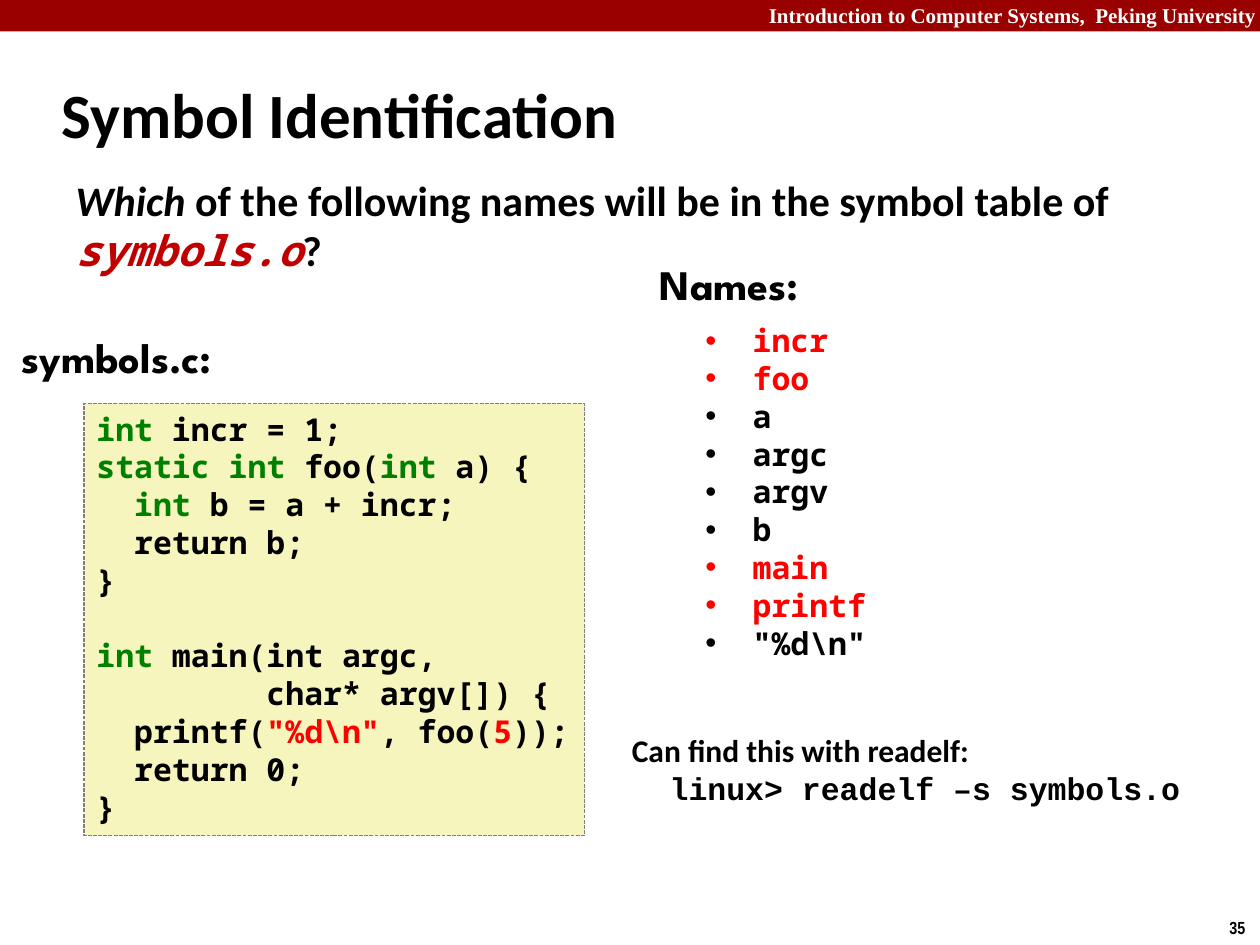
from lxml.etree import SubElement
from pptx import Presentation
from pptx.dml.color import RGBColor
from pptx.enum.dml import MSO_LINE
from pptx.enum.shapes import MSO_SHAPE
from pptx.enum.text import MSO_ANCHOR, MSO_AUTO_SIZE, PP_ALIGN
from pptx.oxml.ns import qn
from pptx.util import Pt

BLACK = RGBColor(0x00, 0x00, 0x00)
WHITE = RGBColor(0xFF, 0xFF, 0xFF)
BANNER_RED = RGBColor(0x99, 0x00, 0x00)
FILE_RED = RGBColor(0xC0, 0x00, 0x00)
RED = RGBColor(0xFF, 0x00, 0x00)
GREEN = RGBColor(0x00, 0x80, 0x00)
GREY = RGBColor(0x7F, 0x7F, 0x7F)
CODE_YELLOW = RGBColor(0xF6, 0xF5, 0xBD)

SANS = "Calibri"
MONO = "Noto Sans Mono"
LABEL = "League Spartan"

CODE = [
    [("int ", GREEN), ("incr = 1;", BLACK)],
    [("static int ", GREEN), ("foo(", BLACK), ("int ", GREEN), ("a) {", BLACK)],
    [("  ", BLACK), ("int ", GREEN), ("b = a + incr;", BLACK)],
    [("  return b;", BLACK)],
    [("}", BLACK)],
    [],
    [("int ", GREEN), ("main(int argc,", BLACK)],
    [("         char* argv[]) {", BLACK)],
    [("  printf(", BLACK), ('"%d\\n"', RED), (", foo(", BLACK), ("5", RED), ("));", BLACK)],
    [("  return 0;", BLACK)],
    [("}", BLACK)],
]
NAMES = ["incr", "foo", "a", "argc", "argv", "b", "main", "printf", '"%d\\n"']
TABLE_SYMBOLS = {"incr", "foo", "main", "printf"}


def add_run(paragraph, text, size, font=SANS, color=BLACK, italic=False):
    run = paragraph.add_run()
    run.text = text
    run.font.size = Pt(size)
    run.font.name = font
    run.font.bold = True
    run.font.italic = italic
    run.font.color.rgb = color


def place(shape, left, top, width, height):
    shape.left, shape.top = Pt(left), Pt(top)
    shape.width, shape.height = Pt(width), Pt(height)


def set_bullet(paragraph, indent=None):
    """Hang a round bullet at the indent, or remove the bullet when there is none."""
    properties = paragraph._p.get_or_add_pPr()
    margin = Pt(indent or 0)
    properties.set("marL", str(margin))
    properties.set("indent", str(-margin))
    if indent is None:
        SubElement(properties, qn("a:buNone"))
    else:
        SubElement(properties, qn("a:buFont"), typeface="Arial")
        SubElement(properties, qn("a:buChar"), char="•")


def add_text_box(slide, box, lines, size, font, bullet_indent=None):
    """Write one paragraph for each line, a line being a list of (text, colour)."""
    shape = slide.shapes.add_textbox(*map(Pt, box))
    text_frame = shape.text_frame
    text_frame.word_wrap = True
    for index, line in enumerate(lines):
        paragraph = text_frame.add_paragraph() if index else text_frame.paragraphs[0]
        if bullet_indent is not None:
            set_bullet(paragraph, bullet_indent)
        paragraph.font.size = Pt(size)
        paragraph.font.name = font
        for text, color in line:
            add_run(paragraph, text, size, font, color)
    return shape


def add_banner(slide):
    bar = slide.shapes.add_shape(MSO_SHAPE.RECTANGLE, 0, 0, Pt(720), Pt(18))
    bar.shadow.inherit = False
    bar.fill.solid()
    bar.fill.fore_color.rgb = BANNER_RED
    bar.line.fill.background()
    course = add_text_box(
        slide, (432, -2, 293, 22),
        [[("Introduction to Computer Systems,  Peking University", WHITE)]],
        12, "Times New Roman")
    course.text_frame.paragraphs[0].alignment = PP_ALIGN.RIGHT


def add_title(slide):
    title = slide.shapes.title
    place(title, 28, 34.5, 598, 60)
    title.text_frame.auto_size = MSO_AUTO_SIZE.NONE
    title.text_frame.vertical_anchor = MSO_ANCHOR.MIDDLE
    paragraph = title.text_frame.paragraphs[0]
    paragraph.alignment = PP_ALIGN.LEFT
    add_run(paragraph, "Symbol Identification", 36)


def add_question(slide):
    body = slide.placeholders[1]
    place(body, 36, 96, 636, 78)
    body.text_frame.auto_size = MSO_AUTO_SIZE.NONE
    paragraph = body.text_frame.paragraphs[0]
    set_bullet(paragraph)
    paragraph.space_before = Pt(0)
    add_run(paragraph, "Which ", 24, italic=True)
    add_run(paragraph, "of the following names will be in the symbol table of ", 24)
    add_run(paragraph, "symbols.o", 24, MONO, FILE_RED, italic=True)
    add_run(paragraph, "?", 24)


def add_code(slide):
    code = add_text_box(slide, (48, 230.5, 286, 247), CODE, 18, MONO)
    code.fill.solid()
    code.fill.fore_color.rgb = CODE_YELLOW
    code.line.color.rgb = GREY
    code.line.width = Pt(0.75)
    code.line.dash_style = MSO_LINE.SQUARE_DOT


def add_names(slide):
    lines = [[(name, RED if name in TABLE_SYMBOLS else BLACK)] for name in NAMES]
    names = add_text_box(slide, (396, 180, 186, 204), lines, 18, MONO, bullet_indent=27)
    names.fill.solid()
    names.fill.fore_color.rgb = WHITE


def add_hint(slide):
    hint = add_text_box(slide, (354, 414, 329, 51),
                        [[("Can find this with readelf:", BLACK)]], 18, SANS)
    command = hint.text_frame.add_paragraph()
    add_run(command, "  linux> readelf –s symbols.o", 18, "Courier New")


def main():
    presentation = Presentation()
    presentation.slide_width, presentation.slide_height = Pt(720), Pt(540)
    slide = presentation.slides.add_slide(presentation.slide_layouts[1])
    add_banner(slide)
    add_title(slide)
    add_question(slide)
    add_text_box(slide, (5.5, 186, 139, 36), [[("symbols.c:", BLACK)]], 24, LABEL)
    add_code(slide)
    add_text_box(slide, (370, 144, 104, 36), [[("Names:", BLACK)]], 24, LABEL)
    add_names(slide)
    add_hint(slide)
    add_text_box(slide, (695.5, 520.5, 24.5, 19.5), [[("35", BLACK)]], 10, "Arial Narrow")
    presentation.save("out.pptx")


if __name__ == "__main__":
    main()
